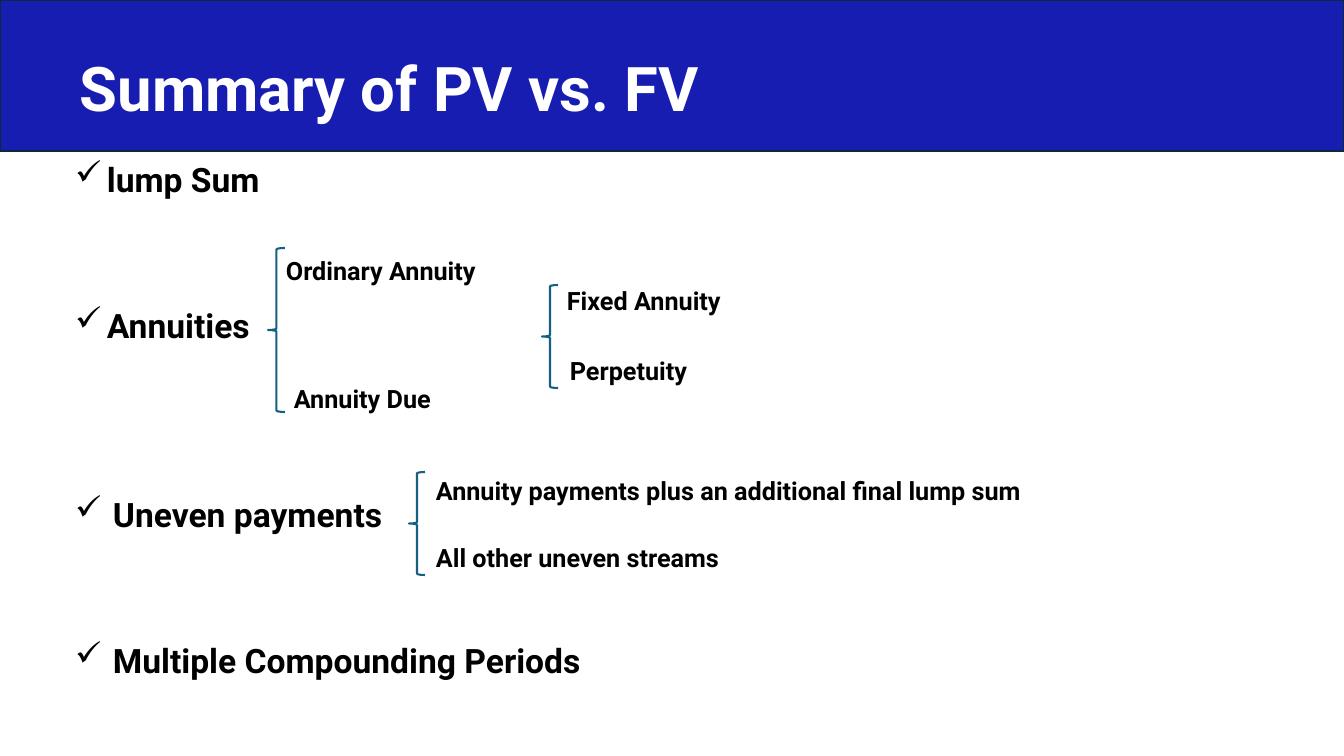
from pptx import Presentation
from pptx.dml.color import RGBColor
from pptx.enum.shapes import MSO_SHAPE
from pptx.enum.text import MSO_ANCHOR
from pptx.util import Emu, Pt
from lxml.etree import SubElement
from pptx.oxml.ns import qn

SCALE = 914400 / 100.8
COLORS = {"band": "171DB0", "edge": "092A39", "brace": "156082",
          "ink": "000000", "title": "FFFFFF"}
FONT = "Roboto"


def px(n):
    return Emu(round(n * SCALE))


def color(name):
    return RGBColor.from_string(COLORS[name])


def shape(slide, kind, box, line, fill=None):
    item = slide.shapes.add_shape(kind, *map(px, box))
    item.shadow.inherit = False
    if fill:
        item.fill.solid()
        item.fill.fore_color.rgb = color(fill)
    else:
        item.fill.background()
    item.line.color.rgb = color(line)
    item.line.width = Pt(1.5)


def frame(slide, box, anchor=MSO_ANCHOR.TOP):
    body = slide.shapes.add_textbox(*map(px, box)).text_frame
    body.word_wrap = True
    body.vertical_anchor = anchor
    return body


def check(para, indent):
    props = para._p.get_or_add_pPr()
    props.set("marL", str(px(indent)))
    props.set("indent", str(-px(indent)))
    SubElement(props, qn("a:buFont")).set("typeface", "Wingdings")
    SubElement(props, qn("a:buChar")).set("char", "ü")


def write(para, text, size=18, ink="ink", lead=None, before=None, indent=None):
    if indent:
        check(para, indent)
    if lead:
        para.line_spacing = lead
    if before:
        para.space_before = Pt(before)
    run = para.add_run()
    run.text = text
    run.font.name = FONT
    run.font.size = Pt(size)
    run.font.bold = True
    run.font.color.rgb = color(ink)


def topics(slide, box, rows):
    body = frame(slide, box)
    for i, (text, indent, before) in enumerate(rows):
        para = body.add_paragraph() if i else body.paragraphs[0]
        write(para, text, size=24, lead=0.8, before=before, indent=indent)


def branch(slide, brace, labels):
    shape(slide, MSO_SHAPE.LEFT_BRACE, brace, "brace")
    for text, left, top, width in labels:
        body = frame(slide, (left, top, width, 40))
        write(body.paragraphs[0], text)


def main():
    deck = Presentation()
    deck.slide_width, deck.slide_height = px(1344), px(756)
    slide = deck.slides.add_slide(deck.slide_layouts[6])

    # Title band
    shape(slide, MSO_SHAPE.RECTANGLE, (0, 0, 1344, 151), "edge", "band")
    title = frame(slide, (70, 29, 1238, 126), MSO_ANCHOR.MIDDLE)
    write(title.paragraphs[0], "Summary of PV vs. FV", size=44, ink="title", lead=0.9)

    # Main topics: text, indent in px, space before in points
    topics(slide, (65, 162, 1237, 564), [
        ("lump Sum", 32, None),
        ("Annuities", 32, 81),
        ("Uneven payments", 38, 112),
        ("Multiple Compounding Periods", 38, 81),
    ])

    # Braces with their labels: text, left, top, width
    branch(slide, (268, 248, 17, 164), [
        ("Ordinary Annuity", 276, 250, 227),
        ("Annuity Due", 284, 378, 170),
    ])
    branch(slide, (542, 285, 16, 103), [
        ("Fixed Annuity", 557, 280, 188),
        ("Perpetuity", 560, 350, 146),
    ])
    branch(slide, (409, 472, 16, 103), [
        ("Annuity payments plus an additional final lump sum", 426, 470, 646),
        ("All other uneven streams", 426, 537, 324),
    ])
    deck.save("out.pptx")


if __name__ == "__main__":
    main()
